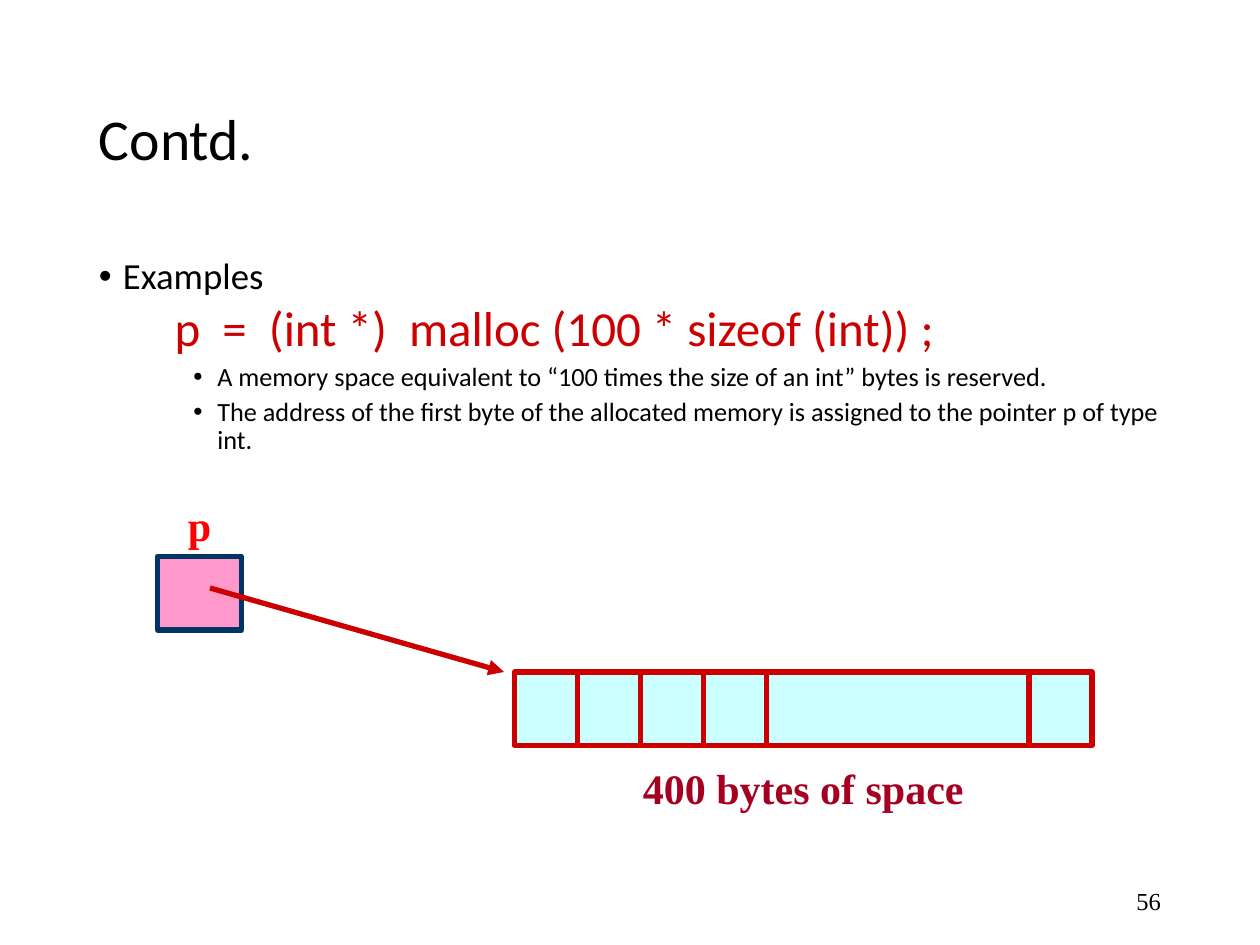
import dataclasses
import lxml.etree
import pptx
import pptx.dml.color
import pptx.enum.shapes
import pptx.enum.text
import pptx.oxml.ns
import pptx.util

COLS, ROWS = 120, 90
WIDE, HIGH = pptx.util.Inches(10), pptx.util.Inches(7.5)
ALIGN = pptx.enum.text.PP_ALIGN
ANCHOR = pptx.enum.text.MSO_ANCHOR


@dataclasses.dataclass(frozen=True)
class Theme:
    sans: str = "Calibri"
    serif: str = "Times New Roman"
    ink: str = "000000"
    red: str = "CC0000"
    name: str = "FF0000"
    note: str = "A50021"
    cell: str = "CCFFFF"
    pink: str = "FF99CC"
    navy: str = "003366"
    title: float = 33
    lead: float = 21
    code: float = 28
    item: float = 15
    label: float = 24
    page: float = 14
    line: float = 3


THEME = Theme()


@dataclasses.dataclass(frozen=True)
class Box:
    x: float
    y: float
    w: float
    h: float

    def emu(self):
        return across(self.x), down(self.y), across(self.w), down(self.h)


def across(cols):
    return round(WIDE * cols / COLS)


def down(rows):
    return round(HIGH * rows / ROWS)


def rgb(tint):
    return pptx.dml.color.RGBColor.from_string(tint)


def add(node, tag, **vals):
    return lxml.etree.SubElement(node, pptx.oxml.ns.qn(tag), **vals)


def frame(slide, box, anchor=ANCHOR.TOP):
    text = slide.shapes.add_textbox(*box.emu()).text_frame
    text.word_wrap = True
    text.vertical_anchor = anchor
    return text


def style(para, text, face, size, tint, bold=False, align=ALIGN.LEFT):
    para.text = text
    para.alignment = align
    font = para.font
    font.name, font.size, font.bold = face, pptx.util.Pt(size), bold
    font.color.rgb = rgb(tint)


def indent(para, left, hang=0, mark=None):
    props = para._p.get_or_add_pPr()
    props.set("marL", str(pptx.util.Inches(left)))
    props.set("indent", str(-pptx.util.Inches(hang)))
    if mark:
        tint = add(props, "a:buClr")
        add(tint, "a:srgbClr", val=THEME.ink)
        add(props, "a:buFont", typeface="Arial")
        add(props, "a:buChar", char=mark)


def block(shapes, box, fill, edge):
    rect = shapes.add_shape(pptx.enum.shapes.MSO_SHAPE.RECTANGLE, *box.emu())
    rect.shadow.inherit = False
    rect.fill.solid()
    rect.fill.fore_color.rgb = rgb(fill)
    rect.line.color.rgb = rgb(edge)
    rect.line.width = pptx.util.Pt(THEME.line)


def stroke(shapes, x1, y1, x2, y2, arrow=False):
    line = shapes.add_connector(
        pptx.enum.shapes.MSO_CONNECTOR.STRAIGHT,
        across(x1), down(y1), across(x2), down(y2))
    line.line.color.rgb = rgb(THEME.red)
    line.line.width = pptx.util.Pt(THEME.line)
    add(line._element.spPr, "a:effectLst")
    if arrow:
        add(line.line._get_or_add_ln(), "a:tailEnd", type="triangle")


def title(slide, box):
    para = frame(slide, box, ANCHOR.MIDDLE).paragraphs[0]
    para.line_spacing = 0.9
    style(para, "Contd.", THEME.sans, THEME.title, THEME.ink)


def body(slide, box):
    text = frame(slide, box)
    rows = [
        ("Examples", THEME.lead, THEME.ink, 0.19, 0.19, "•"),
        ("p  =  (int *)  malloc (100 * sizeof (int)) ;",
         THEME.code, THEME.red, 0.6, 0, None),
        ("A memory space equivalent to “100 times the size of an int” "
         "bytes is reserved.", THEME.item, THEME.ink, 0.94, 0.19, "•"),
        ("The address of the first byte of the allocated memory is "
         "assigned to the pointer p of type int.",
         THEME.item, THEME.ink, 0.94, 0.19, "•"),
    ]
    for i, (words, size, tint, left, hang, mark) in enumerate(rows):
        para = text.add_paragraph() if i else text.paragraphs[0]
        indent(para, left, hang, mark)
        para.line_spacing = 0.9
        if i:
            para.space_before = pptx.util.Pt(3.7)
        style(para, words, THEME.sans, size, tint)


def label(slide, box, words, tint):
    para = frame(slide, box).paragraphs[0]
    style(para, words, THEME.serif, THEME.label, tint, True, ALIGN.CENTER)


def memory(slide, box):
    shapes = slide.shapes.add_group_shape().shapes
    block(shapes, box, THEME.cell, THEME.red)
    cell = 6
    edges = [box.x + cell * n for n in range(1, 5)] + [box.x + box.w - cell]
    for x in edges:
        stroke(shapes, x, box.y, x, box.y + box.h)
    label(slide, Box(box.x + 3, box.y + 8, box.w - 6, 6),
          "400 bytes of space", THEME.note)


def pointer(slide, box, goal):
    shapes = slide.shapes.add_group_shape().shapes
    block(shapes, box, THEME.pink, THEME.navy)
    stroke(shapes, box.x + 5, box.y + 3, goal.x - 1, goal.y, arrow=True)
    label(slide, Box(box.x, box.y - 6, box.w, 6), "p", THEME.name)


def number(slide, box):
    para = frame(slide, box, ANCHOR.MIDDLE).paragraphs[0]
    style(para, "56", THEME.serif, THEME.page, THEME.ink, align=ALIGN.RIGHT)


def main():
    deck = pptx.Presentation()
    deck.slide_width, deck.slide_height = WIDE, HIGH
    slide = deck.slides.add_slide(deck.slide_layouts[6])
    store = Box(49, 64, 55, 7)
    title(slide, Box(8.25, 4.8, 103.5, 17.4))
    body(slide, Box(8.25, 24, 103.5, 57.1))
    number(slide, Box(84.75, 83.4, 27, 4.8))
    memory(slide, store)
    pointer(slide, Box(15, 53, 8, 7), store)
    deck.save("out.pptx")


if __name__ == "__main__":
    main()
